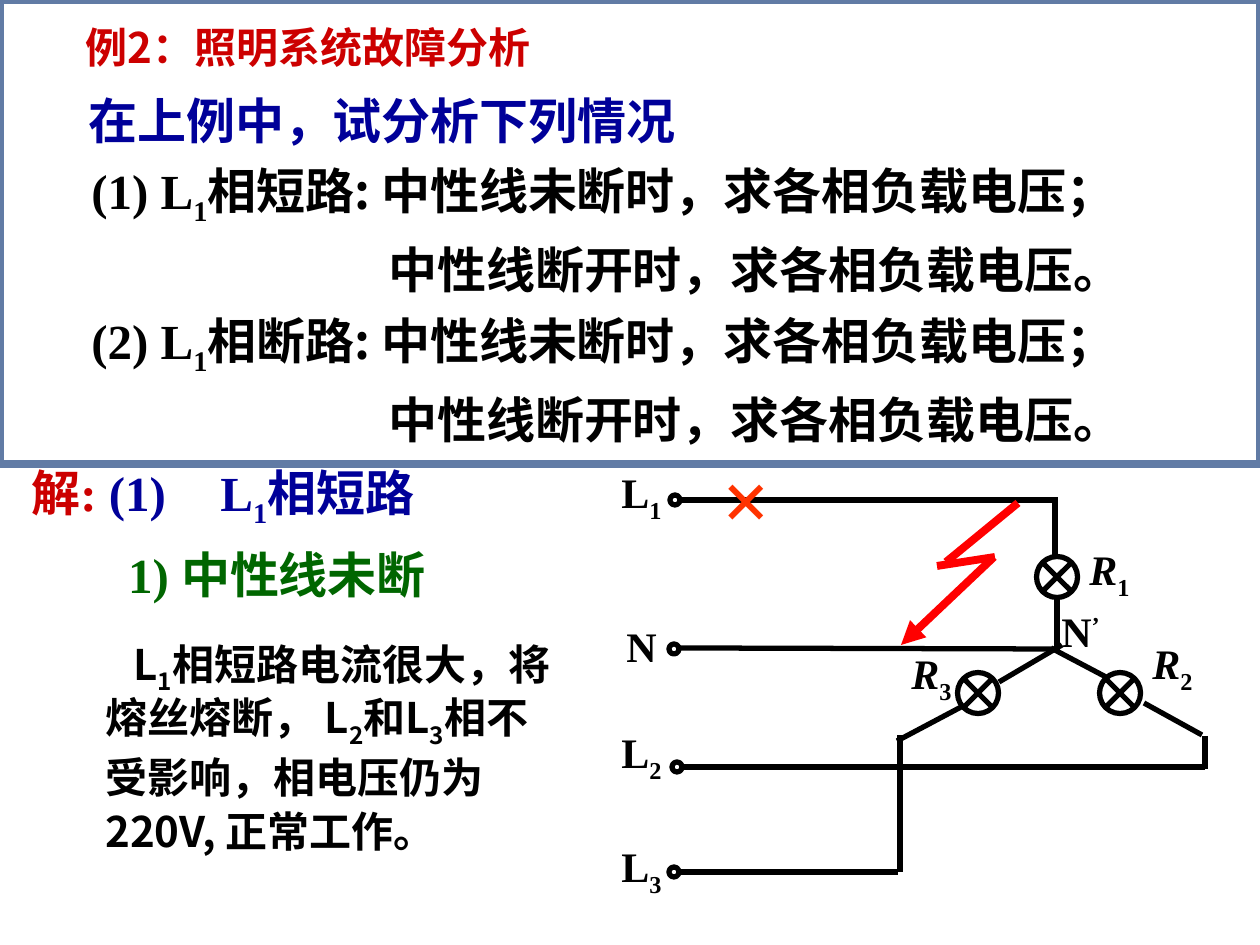
from dataclasses import dataclass

from lxml import etree
from pptx import Presentation
from pptx.dml.color import RGBColor
from pptx.enum.shapes import MSO_CONNECTOR, MSO_SHAPE
from pptx.enum.text import MSO_ANCHOR, MSO_AUTO_SIZE, PP_ALIGN
from pptx.oxml.ns import qn
from pptx.util import Emu, Pt

LEFT, CENTER = PP_ALIGN.LEFT, PP_ALIGN.CENTER
TOP, MIDDLE = MSO_ANCHOR.TOP, MSO_ANCHOR.MIDDLE
RECTANGLE, OVAL = MSO_SHAPE.RECTANGLE, MSO_SHAPE.OVAL
STRAIGHT = MSO_CONNECTOR.STRAIGHT
TITLE_ONLY = 5


@dataclass(frozen=True)
class Theme:
    white: str = "FFFFFF"
    black: str = "000000"
    frame: str = "617BA5"
    crimson: str = "CC0000"
    navy: str = "000099"
    green: str = "006600"
    red: str = "FF0000"
    orange: str = "FF3300"
    serif: str = "Times New Roman"
    sans: str = "Arial"
    cjk: str = "Noto Sans CJK SC"
    small: int = 24
    large: int = 28
    mark: int = 48
    wire: float = 3
    bolt: float = 4.5
    border: float = 4.33


THEME = Theme()


def px(length):
    return Emu(round(length * 914400 / 126))


def rgb(value):
    return RGBColor.from_string(value)


def write(frame, *runs, size=THEME.small, color=THEME.black, font=THEME.serif,
          italic=False, shift=-25, align=LEFT, line=None, before=0,
          margin=0, indent=0, tab=None):
    """Add a paragraph; a run is text or (text, overrides), and _x_ shifts x off the baseline."""
    paragraph = frame.paragraphs[0]
    if paragraph.runs:
        paragraph = frame.add_paragraph()
    props = paragraph._p.get_or_add_pPr()
    props.set("marL", str(px(margin)))
    props.set("indent", str(px(indent)))
    etree.SubElement(props, qn("a:buNone"))
    if tab:
        stops = etree.SubElement(props, qn("a:tabLst"))
        etree.SubElement(stops, qn("a:tab"), pos=str(px(tab)), algn="l")
    paragraph.alignment = align
    paragraph.space_before = Pt(before)
    if line:
        paragraph.line_spacing = Pt(line)
    for item in runs:
        text, overrides = (item, {}) if isinstance(item, str) else item
        for index, part in enumerate(text.split("_")):
            if not part:
                continue
            shifted = index % 2 == 1
            run = paragraph.add_run()
            run.text = part
            run.font.size = Pt(size)
            run.font.bold = True
            run.font.italic = italic and not shifted
            run.font.color.rgb = rgb(overrides.get("color", color))
            run.font.name = overrides.get("font", font)
            run_props = run._r.get_or_add_rPr()
            etree.SubElement(run_props, qn("a:ea"), typeface=THEME.cjk)
            if shifted:
                run_props.set("baseline", str(shift * 1000))


class Board:
    """Holds the theme and the current slide."""

    def __init__(self, slide, theme):
        self.slide, self.theme = slide, theme
        self.shapes = slide.shapes

    def title(self, left, top, width, height):
        title = self.shapes.title
        title.left, title.top = px(left), px(top)
        title.width, title.height = px(width), px(height)
        return self.setup(title.text_frame, TOP, True)

    def setup(self, frame, anchor, wrap):
        frame.auto_size = MSO_AUTO_SIZE.NONE
        frame.word_wrap = wrap
        frame.vertical_anchor = anchor
        return frame

    def text(self, left, top, width, height, anchor=TOP, wrap=True):
        box = self.shapes.add_textbox(px(left), px(top), px(width), px(height))
        return self.setup(box.text_frame, anchor, wrap)

    def label(self, text, left, top, width=67, **style):
        write(self.text(left, top, width, 63, MIDDLE, wrap=False), text,
              align=CENTER, **style)

    def panel(self, left, top, width, height):
        """A framed area behind everything else."""
        panel = self.shapes.add_shape(RECTANGLE, px(left), px(top), px(width), px(height))
        panel.shadow.inherit = False
        panel.fill.solid()
        panel.fill.fore_color.rgb = rgb(self.theme.white)
        panel.line.color.rgb = rgb(self.theme.frame)
        panel.line.width = Pt(self.theme.border)
        panel.element.getparent().insert(2, panel.element)

    def ring(self, x, y, diameter):
        ring = self.shapes.add_shape(OVAL, px(x - diameter / 2), px(y - diameter / 2),
                                     px(diameter), px(diameter))
        ring.shadow.inherit = False
        ring.fill.background()
        ring.line.color.rgb = rgb(self.theme.black)
        ring.line.width = Pt(self.theme.wire)

    def line(self, x1, y1, x2, y2, color=THEME.black, width=THEME.wire, arrow=False):
        line = self.shapes.add_connector(STRAIGHT, px(x1), px(y1), px(x2), px(y2))
        line.line.color.rgb = rgb(color)
        line.line.width = Pt(width)
        if arrow:
            etree.SubElement(line.line._get_or_add_ln(), qn("a:tailEnd"), type="triangle")
        etree.SubElement(line.element.spPr, qn("a:effectLst"))

    def lamp(self, x, y, diameter=41, reach=14):
        self.ring(x, y, diameter)
        for slope in (1, -1):
            self.line(x - reach, y - slope * reach, x + reach, y + slope * reach)


def add_question(board):
    theme = board.theme
    board.panel(0, 0, 1260, 464)
    write(board.title(73, 6, 577, 73), "例", ("2", {"font": theme.cjk}),
          "：照明系统故障分析", color=theme.crimson, font=theme.sans, line=34)
    question = board.text(42, 79, 1134, 368, MIDDLE)
    row = {"size": theme.large, "line": 40.5}
    write(question, "在上例中，试分析下列情况", color=theme.navy, margin=34, **row)
    for number, fault in ((1, "短路"), (2, "断路")):
        write(question, f"({number}) L_1_",
              (f"相{fault}: 中性线未断时，求各相负载电压；", {"font": theme.cjk}),
              margin=37, before=4.4, **row)
        write(question, "中性线断开时，求各相负载电压。", margin=334, **row)


def add_solution(board):
    theme = board.theme
    write(board.text(19, 460, 483, 72, MIDDLE), ("解: ", {"color": theme.crimson}),
          "(1)\tL_1_相短路", size=theme.large, color=theme.navy, tab=170)
    write(board.text(103, 538, 348, 72, MIDDLE), "1) 中性线未断",
          size=theme.large, color=theme.green, align=CENTER)
    write(board.text(93, 636, 472, 217),
          "L_1_相短路电流很大，将熔丝熔断， L_2_和L_3_相不受影响，相电压仍为220V, 正常工作。",
          font=theme.cjk, line=30.5, indent=28)


def add_circuit(board):
    theme = board.theme
    wires = (
        (680, 500, 1058, 500), (1055, 500, 1055, 557), (1057, 600, 1057, 651),
        (679, 648, 1060, 649),
        (1051, 648, 1106, 677), (1144, 703, 1202, 735), (1205, 736, 1205, 769),
        (1205, 767, 679, 767),
        (1062, 645, 999, 682), (963, 706, 897, 741), (900, 735, 900, 872),
        (679, 872, 898, 872),
    )
    for wire in wires:
        board.line(*wire)
    for x, y in ((675, 500), (674, 649), (677, 767), (674, 872)):
        board.ring(x, y, 10)
    for x, y in ((1057, 577), (1120, 693), (978, 693)):
        board.lamp(x, y)

    for name, left, top in (("L_1_", 608, 464), ("N", 608, 614),
                            ("L_2_", 608, 724), ("L_3_", 608, 838)):
        board.label(name, left, top)
    for name, left, top in (("R_1_", 1076, 541), ("R_2_", 1139, 635), ("R_3_", 898, 645)):
        board.label(name, left, top, italic=True)
    board.label("N_’_", 1047, 599, shift=30)


def add_short_circuit(board):
    theme = board.theme
    bolt = ((1018, 503, 946, 562), (937, 566, 995, 557), (994, 557, 901, 645))
    for stroke in bolt:
        board.line(*stroke, color=theme.red, width=theme.bolt, arrow=stroke == bolt[-1])
    write(board.text(703, 440, 87, 113), "×", size=theme.mark,
          color=theme.orange, align=CENTER)


def main():
    deck = Presentation()
    deck.slide_width, deck.slide_height = px(1260), px(945)
    board = Board(deck.slides.add_slide(deck.slide_layouts[TITLE_ONLY]), THEME)
    add_question(board)
    add_solution(board)
    add_circuit(board)
    add_short_circuit(board)
    deck.save("out.pptx")


if __name__ == "__main__":
    main()
